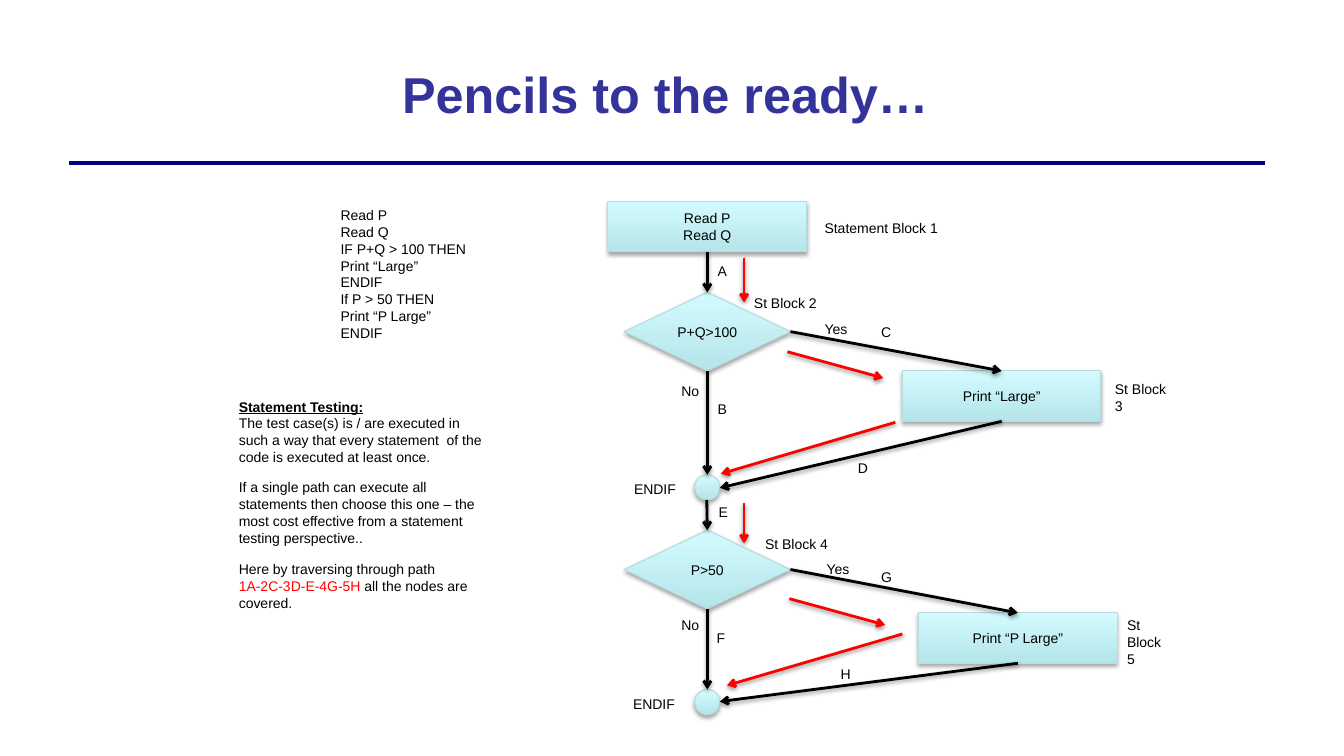
from lxml import etree
from pptx import Presentation
from pptx.dml.color import RGBColor
from pptx.enum.shapes import MSO_CONNECTOR, MSO_SHAPE as Preset
from pptx.enum.text import MSO_ANCHOR, PP_ALIGN
from pptx.oxml import parse_xml
from pptx.oxml.ns import nsdecls, qn
from pptx.util import Inches, Pt

COLORS = {
    "title": "333399", "rule": "000080", "text": "000000", "path": "FF0000",
    "node_low": "B5E5E9", "node_high": "D3FBFF", "node_line": "B6DCDF",
    "flow": "000000",
}
RGB = {name: RGBColor.from_string(value) for name, value in COLORS.items()}

deck = Presentation()
deck.slide_width, deck.slide_height = Inches(13.33), Inches(7.5)
page = deck.slides.add_slide(deck.slide_layouts[6])
shapes = page.shapes


def write(frame, paragraphs, align=PP_ALIGN.LEFT, size=10):
    """Fill a frame with paragraphs, each a list of (text, style) runs."""
    frame.word_wrap = True
    for index, runs in enumerate(paragraphs):
        para = frame.paragraphs[0] if index == 0 else frame.add_paragraph()
        para.alignment = align
        for text, style in runs:
            span = para.add_run()
            span.text = text
            span.font.name = "Arial"
            span.font.size = Pt(size)
            span.font.bold = style in ("title", "heading")
            span.font.underline = style == "heading"
            span.font.color.rgb = RGB.get(style, RGB["text"])


def add_shadow(item, distance, opacity):
    """Put a soft shadow below a shape or connector whose line is set."""
    item._element.spPr.append(parse_xml(
        f'<a:effectLst {nsdecls("a")}>'
        f'<a:outerShdw blurRad="{Pt(3.1)}" dist="{Pt(distance)}" dir="5400000" rotWithShape="0">'
        f'<a:srgbClr val="000000"><a:alpha val="{opacity * 1000}"/></a:srgbClr>'
        '</a:outerShdw></a:effectLst>'))


# Heading
rule = shapes.add_connector(
    MSO_CONNECTOR.STRAIGHT, Inches(0.68), Inches(1.62), Inches(12.55), Inches(1.62))
rule.line.color.rgb = RGB["rule"]
rule.line.width = Pt(3)
etree.SubElement(rule._element.spPr, qn("a:effectLst"))

title = shapes.add_textbox(Inches(0.6), Inches(0.3), Inches(12), Inches(1.25))
title.text_frame.vertical_anchor = MSO_ANCHOR.MIDDLE
write(title.text_frame, [[("Pencils to the ready…", "title")]], PP_ALIGN.CENTER, 36)

# Flowchart nodes: name, preset, left, top, lines
SIZES = {
    Preset.RECTANGLE: (1.97, 0.5),
    Preset.FLOWCHART_DECISION: (1.65, 0.78),
    Preset.FLOWCHART_CONNECTOR: (0.25, 0.25),
}
NODES = [
    ("read", Preset.RECTANGLE, 6.03, 2, ["Read P", "Read Q"]),
    ("endif 2", Preset.FLOWCHART_CONNECTOR, 6.89, 6.84, []),
    ("endif 1", Preset.FLOWCHART_CONNECTOR, 6.89, 4.71, []),
    ("test 1", Preset.FLOWCHART_DECISION, 6.19, 2.9, ["P+Q>100"]),
    ("print 1", Preset.RECTANGLE, 8.95, 3.68, ["Print “Large”"]),
    ("print 2", Preset.RECTANGLE, 9.11, 6.08, ["Print “P Large”"]),
    ("test 2", Preset.FLOWCHART_DECISION, 6.19, 5.26, ["P>50"]),
]
nodes = {}
for name, preset, left, top, lines in NODES:
    width, height = SIZES[preset]
    node = shapes.add_shape(preset, Inches(left), Inches(top), Inches(width), Inches(height))
    node.fill.gradient()
    node.fill.gradient_angle = 90
    for stop, color in zip(node.fill.gradient_stops, ("node_low", "node_high")):
        stop.color.rgb = RGB[color]
    node.line.color.rgb = RGB["node_line"]
    node.line.width = Pt(0.75)
    node.shadow.inherit = False
    node._element.spPr.remove(node._element.spPr.find(qn("a:effectLst")))
    add_shadow(node, 1.8, 35)
    node.text_frame.vertical_anchor = MSO_ANCHOR.MIDDLE
    write(node.text_frame, [[(line, "text")] for line in lines], PP_ALIGN.CENTER)
    nodes[name] = node

# Arrows: colour, from, to, joined start and end as (node, side)
ARROWS = [
    ("flow", (9.93, 4.18), (7.14, 4.84), ("print 1", 2), None),
    ("flow", (7.01, 2.5), (7.01, 2.9), ("read", 2), ("test 1", 0)),
    ("flow", (7.84, 3.29), (9.93, 3.68), ("test 1", 3), ("print 1", 0)),
    ("flow", (7.01, 3.68), (7.01, 4.71), ("test 1", 2), ("endif 1", 0)),
    ("flow", (7.01, 4.96), (7.01, 5.26), None, ("test 2", 0)),
    ("flow", (7.84, 5.65), (10.09, 6.08), ("test 2", 3), ("print 2", 0)),
    ("flow", (7.01, 6.04), (7.01, 6.84), ("test 2", 2), ("endif 2", 0)),
    ("flow", (10.09, 6.58), (7.14, 6.96), ("print 2", 2), None),
    ("path", (7.38, 2.56), (7.38, 3), None, None),
    ("path", (7.81, 3.49), (8.76, 3.75), None, None),
    ("path", (8.88, 4.19), (7.15, 4.7), None, None),
    ("path", (7.38, 4.99), (7.38, 5.39), None, None),
    ("path", (7.83, 5.94), (8.78, 6.2), None, None),
    ("path", (8.95, 6.29), (7.21, 6.8), None, None),
]
for color, start, end, source, target in ARROWS:
    arrow = shapes.add_connector(
        MSO_CONNECTOR.STRAIGHT, *[Inches(value) for value in start + end])
    if source:
        arrow.begin_connect(nodes[source[0]], source[1])
    if target:
        arrow.end_connect(nodes[target[0]], target[1])
    arrow.line.color.rgb = RGB[color]
    arrow.line.width = Pt(2)
    etree.SubElement(arrow.line._get_or_add_ln(), qn("a:tailEnd"), type="arrow")
    add_shadow(arrow, 1.6, 38)

# Labels: text, left, top, width, height
LABELS = [
    ("Statement Block 1", 8.08, 2.13, 2.01, 0.27),
    ("St Block 2", 7.38, 2.87, 0.87, 0.27),
    ("St Block 3", 10.96, 3.73, 0.71, 0.44),
    ("St Block 4", 7.49, 5.26, 2.09, 0.27),
    ("St Block 5", 11.08, 6.07, 0.59, 0.61),
    ("A", 7.02, 2.56, 0.24, 0.27),
    ("B", 7.02, 3.92, 0.24, 0.27),
    ("C", 8.64, 3.16, 0.24, 0.27),
    ("D", 8.41, 4.51, 0.24, 0.27),
    ("E", 7.03, 4.95, 0.24, 0.27),
    ("F", 7.01, 6.2, 0.24, 0.27),
    ("G", 8.64, 5.59, 0.24, 0.27),
    ("H", 8.24, 6.55, 0.24, 0.27),
    ("ENDIF", 6.19, 4.72, 0.71, 0.27),
    ("ENDIF", 6.18, 6.85, 0.71, 0.27),
    ("No", 6.66, 3.75, 0.46, 0.27),
    ("No", 6.66, 6.07, 0.46, 0.27),
    ("Yes", 8.08, 3.13, 0.46, 0.27),
    ("Yes", 8.1, 5.51, 0.46, 0.27),
]
CODE = ["Read P", "Read Q", "IF P+Q > 100 THEN", "Print “Large”", "ENDIF",
        "If P > 50 THEN", "Print “P Large”", "ENDIF"]
NOTES = [
    ([[(line, "text")] for line in CODE], 3.28, 2, 1.81, 1.62),
    ([[("Statement Testing:", "heading")],
      [("The test case(s) is / are executed in such a way that every statement  of the "
        "code is executed at least once.", "text")]], 2.27, 3.9, 2.68, 0.77),
    ([[("If a single path can execute all statements then choose this one – the most cost "
        "effective from a statement testing perspective..", "text")]], 2.27, 4.7, 2.68, 0.77),
    ([[("Here by traversing through path ", "text"), ("1A-2C-3D-E-4G-5H", "path"),
       (" all the nodes are covered.", "text")]], 2.27, 5.51, 2.68, 0.61),
]
labels = [([[(text, "text")]], *place) for text, *place in LABELS]
for paragraphs, *place in labels + NOTES:
    box = shapes.add_textbox(*[Inches(value) for value in place])
    write(box.text_frame, paragraphs)

deck.save("out.pptx")
